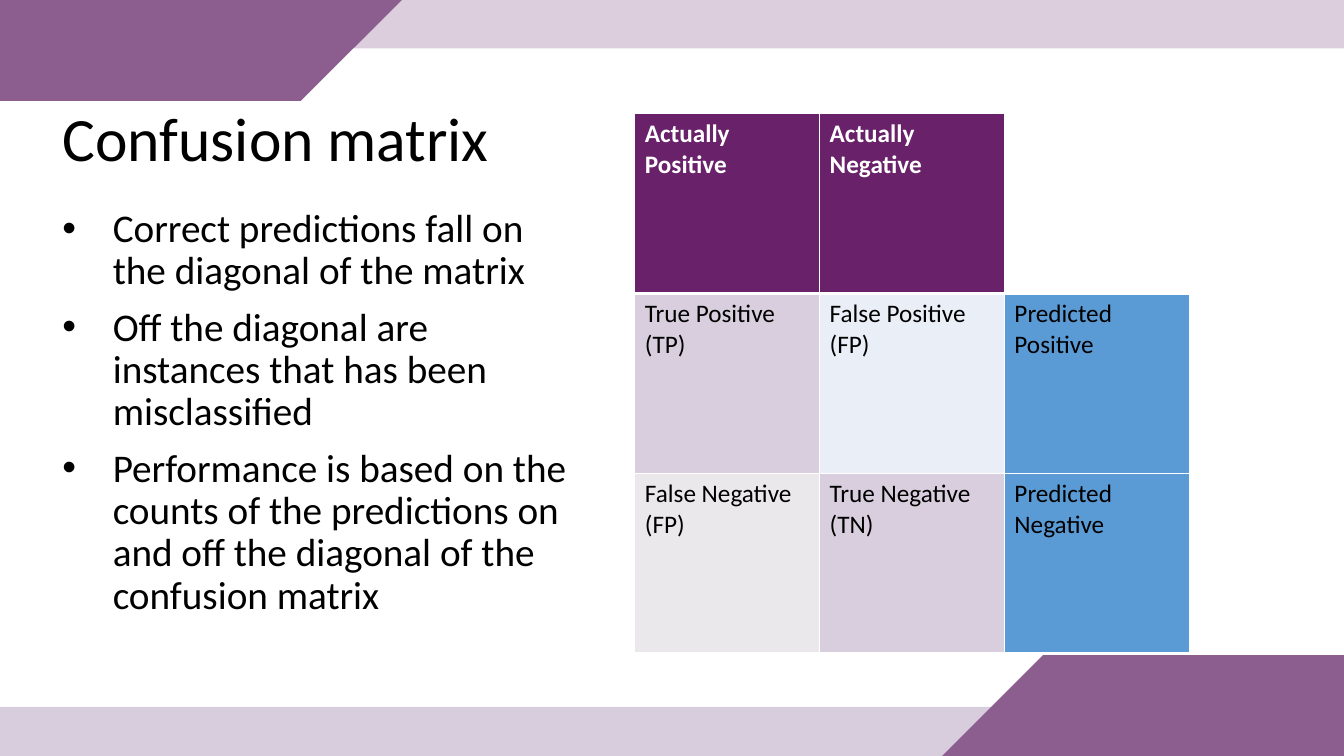
from lxml import etree
from pptx import Presentation
from pptx.dml.color import RGBColor
from pptx.enum.shapes import MSO_SHAPE
from pptx.oxml.ns import qn
from pptx.util import Pt

RECT = MSO_SHAPE.RECTANGLE
WIDE, HIGH = 960, 540
FONT = "Calibri"
HUES = {
    "black": "000000", "white": "FFFFFF", "plum": "8C5D8F", "mauve": "7C5A8E",
    "head": "69216A", "hit": "D8CEDD", "pale": "EAEFF7", "grey": "EBE8EB",
    "blue": "5B9BD5",
}
BULLETS = [
    "Correct predictions fall on the diagonal of the matrix",
    "Off the diagonal are instances that has been misclassified",
    "Performance is based on the counts of the predictions on and off "
    "the diagonal of the confusion matrix",
]
MATRIX = [
    [("Actually Positive", "head"), ("Actually Negative", "head"), ("", None)],
    [("True Positive (TP)", "hit"), ("False Positive (FP)", "pale"),
     ("Predicted Positive", "blue")],
    [("False Negative (FP)", "grey"), ("True Negative (TN)", "hit"),
     ("Predicted Negative", "blue")],
]
CORNER = [(0, 0), (287, 0), (215, 72), (0, 72)]


def tint(name):
    return RGBColor.from_string(HUES[name])


def write(para, text, size=18, hue="black", bold=False, line=None, gap=0, dot=False):
    if dot:
        props = para._p.get_or_add_pPr()
        props.set("marL", str(Pt(36)))
        props.set("indent", str(-Pt(36)))
        etree.SubElement(props, qn("a:buFont"), typeface="Arial")
        etree.SubElement(props, qn("a:buChar"), char="•")
    if line:
        para.line_spacing = line
    if gap:
        para.space_before = Pt(gap)
    run = para.add_run()
    run.text = text
    font = run.font
    font.name, font.size, font.bold = FONT, Pt(size), bold
    font.color.rgb = tint(hue)


class Page:
    def __init__(self, deck):
        self.slide = deck.slides.add_slide(deck.slide_layouts[6])
        self.shapes = self.slide.shapes

    def paint(self, shape, hue, alpha=None):
        shape.shadow.inherit = False
        shape.fill.solid()
        shape.fill.fore_color.rgb = tint(hue)
        shape.line.fill.background()
        if alpha:
            color = shape.fill._xPr.find(".//" + qn("a:srgbClr"))
            etree.SubElement(color, qn("a:alpha"), val=str(alpha * 1000))

    def band(self, x, y, w, h, hue):
        shape = self.shapes.add_shape(RECT, Pt(x), Pt(y), Pt(w), Pt(h))
        self.paint(shape, hue, 30)

    def outline(self, points, hue):
        first, *rest = [(Pt(x), Pt(y)) for x, y in points]
        form = self.shapes.build_freeform(*first)
        form.add_line_segments(rest)
        self.paint(form.convert_to_shape(), hue)

    def text(self, x, y, w, h, lines, gap=0, **style):
        frame = self.shapes.add_textbox(Pt(x), Pt(y), Pt(w), Pt(h)).text_frame
        frame.word_wrap = True
        for i, line in enumerate(lines):
            para = frame.add_paragraph() if i else frame.paragraphs[0]
            write(para, line, gap=gap if i else 0, **style)

    def edge(self, cell, widths):
        """Give a cell white borders; widths are left, right, top, bottom."""
        props = cell._tc.get_or_add_tcPr()
        for side, width in zip("LRTB", widths):
            line = etree.SubElement(props, qn("a:ln" + side), w=str(Pt(width)))
            fill = etree.SubElement(line, qn("a:solidFill"))
            etree.SubElement(fill, qn("a:srgbClr"), val=HUES["white"])

    def table(self, x, y, w, h, rows):
        count, wide = len(rows), len(rows[0])
        grid = self.shapes.add_table(count, wide, Pt(x), Pt(y), Pt(w), Pt(h)).table
        for col in grid.columns:
            col.width = Pt(w / wide)
        for r, row in enumerate(rows):
            grid.rows[r].height = Pt(h / count)
            for c, (text, hue) in enumerate(row):
                cell = grid.cell(r, c)
                self.edge(cell, (1, 1, 3 if r == 1 else 1, 3 if r == 0 else 1))
                if hue:
                    cell.fill.solid()
                    cell.fill.fore_color.rgb = tint(hue)
                    top = r == 0
                    write(cell.text_frame.paragraphs[0], text, bold=top,
                          hue="white" if top else "black")
                else:
                    cell.fill.background()


def main():
    deck = Presentation()
    deck.slide_width, deck.slide_height = Pt(WIDE), Pt(HIGH)
    page = Page(deck)
    page.band(91, 0, WIDE - 91, 34.5, "plum")
    page.outline(CORNER, "plum")
    page.band(0, 505, 780, HIGH - 505, "mauve")
    page.outline([(WIDE - x, HIGH - y) for x, y in CORNER], "plum")
    page.text(37.5, 74, 869, 104, ["Confusion matrix"], size=44, line=0.9)
    page.text(37.5, 145.5, 379, 320, BULLETS, size=28, line=0.9, gap=10, dot=True)
    page.table(453.5, 81.25, 396, 385.2, MATRIX)
    deck.save("out.pptx")


if __name__ == "__main__":
    main()
